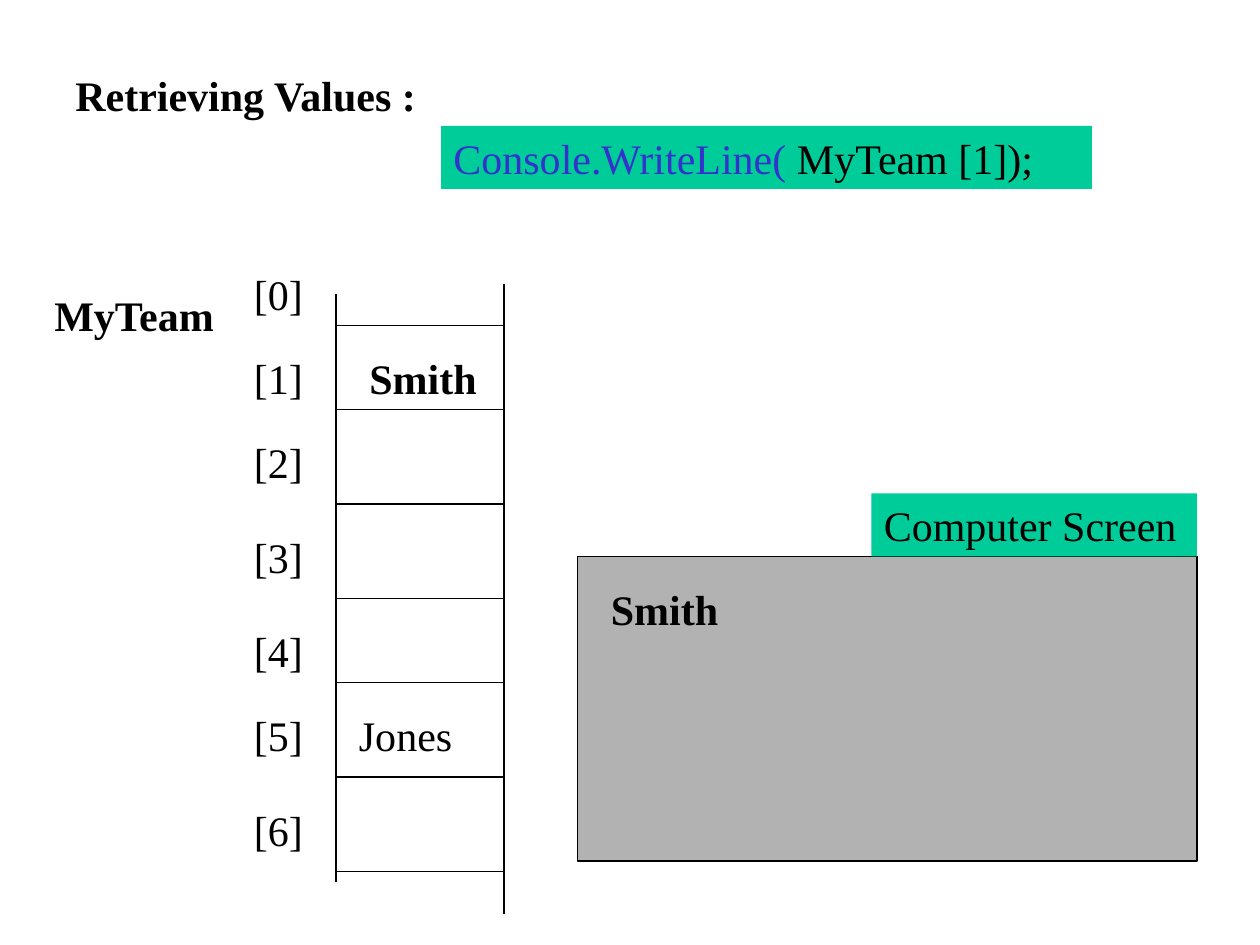
from dataclasses import dataclass
from typing import Optional

from lxml.etree import SubElement
from pptx import Presentation
from pptx.dml.color import RGBColor
from pptx.enum.shapes import MSO_CONNECTOR as Connector, MSO_SHAPE as Shape
from pptx.enum.text import MSO_ANCHOR as Anchor, MSO_AUTO_SIZE as AutoSize, PP_ALIGN as Align
from pptx.oxml.ns import qn
from pptx.util import Inches, Pt

# The slide is a grid of 120 columns by 90 rows, twelve to the inch
COLUMNS, ROWS = 120, 90
BLACK, BLUE, GREEN, GRAY = "000000", "3333CC", "00CC99", "B2B2B2"
FONT, TEXT_SIZE, LINE_WIDTH = "Times New Roman", 24, 0.75
TEXT_ROWS = 6

# The array: its two sides, and the row where each cell begins
ARRAY_LEFT, ARRAY_RIGHT = 32, 48
CELL_TOPS = [23, 31, 39, 48, 57, 65, 74]
ARRAY_BOTTOM = 83
TEXT_OFFSET = 2


@dataclass
class Run:
    text: str
    color: str = BLACK
    bold: bool = False


@dataclass
class Label:
    column: float
    row: float
    width: float
    runs: list[Run]
    fill: Optional[str] = None


presentation = Presentation()
presentation.slide_width = Inches(10)
presentation.slide_height = Inches(7.5)
slide = presentation.slides.add_slide(presentation.slide_layouts[6])


def color_of(value: str) -> RGBColor:
    return RGBColor.from_string(value)


def across(columns: float) -> int:
    return round(presentation.slide_width * columns / COLUMNS)


def down(rows: float) -> int:
    return round(presentation.slide_height * rows / ROWS)


def add_rectangle(column: float, row: float, width: float, height: float, fill: str):
    shape = slide.shapes.add_shape(
        Shape.RECTANGLE, across(column), down(row), across(width), down(height))
    shape.shadow.inherit = False
    shape.fill.solid()
    shape.fill.fore_color.rgb = color_of(fill)
    shape.line.fill.background()
    return shape


def add_label(label: Label) -> None:
    if label.fill:
        shape = add_rectangle(label.column, label.row, label.width, TEXT_ROWS, label.fill)
    else:
        shape = slide.shapes.add_textbox(
            across(label.column), down(label.row), across(label.width), down(TEXT_ROWS))
    frame = shape.text_frame
    frame.word_wrap = True
    frame.auto_size = AutoSize.SHAPE_TO_FIT_TEXT
    frame.vertical_anchor = Anchor.TOP
    paragraph = frame.paragraphs[0]
    paragraph.alignment = Align.LEFT
    for item in label.runs:
        run = paragraph.add_run()
        run.text = item.text
        run.font.name = FONT
        run.font.size = Pt(TEXT_SIZE)
        run.font.bold = item.bold
        run.font.color.rgb = color_of(item.color)


def add_line(column: float, row: float, end_column: float, end_row: float) -> None:
    line = slide.shapes.add_connector(
        Connector.STRAIGHT, across(column), down(row), across(end_column), down(end_row))
    line.line.color.rgb = color_of(BLACK)
    line.line.width = Pt(LINE_WIDTH)
    SubElement(line._element.spPr, qn("a:effectLst"))


def cell_text_row(index: int) -> float:
    return CELL_TOPS[index] + TEXT_OFFSET


# Heading and statement
add_label(Label(6, 6, 36, [Run("Retrieving Values :", bold=True)]))
add_label(Label(42, 12, 62, [Run("Console.WriteLine(", BLUE), Run(" MyTeam [1]);")], GREEN))

# Computer screen with its output
screen = add_rectangle(55, 53, 59, 29, GRAY)
screen.line.color.rgb = color_of(BLACK)
screen.line.width = Pt(LINE_WIDTH)
add_label(Label(57, 55, 15, [Run("Smith", bold=True)]))
add_label(Label(83, 47, 31, [Run("Computer Screen")], GREEN))

# Array sides and cell dividers
add_line(ARRAY_LEFT, 28, ARRAY_LEFT, 84)
add_line(ARRAY_RIGHT, 27, ARRAY_RIGHT, 87)
for divider in CELL_TOPS[1:] + [ARRAY_BOTTOM]:
    add_line(ARRAY_LEFT, divider, ARRAY_RIGHT, divider)

# Array name, indexes and stored values
add_label(Label(4, 27, 19, [Run("MyTeam", bold=True)]))
for index in range(len(CELL_TOPS)):
    add_label(Label(23, cell_text_row(index), 13, [Run(f"[{index}]")]))
add_label(Label(34, cell_text_row(1), 16, [Run("Smith", bold=True)]))
add_label(Label(33, cell_text_row(5), 14, [Run("Jones")]))

presentation.save("out.pptx")
